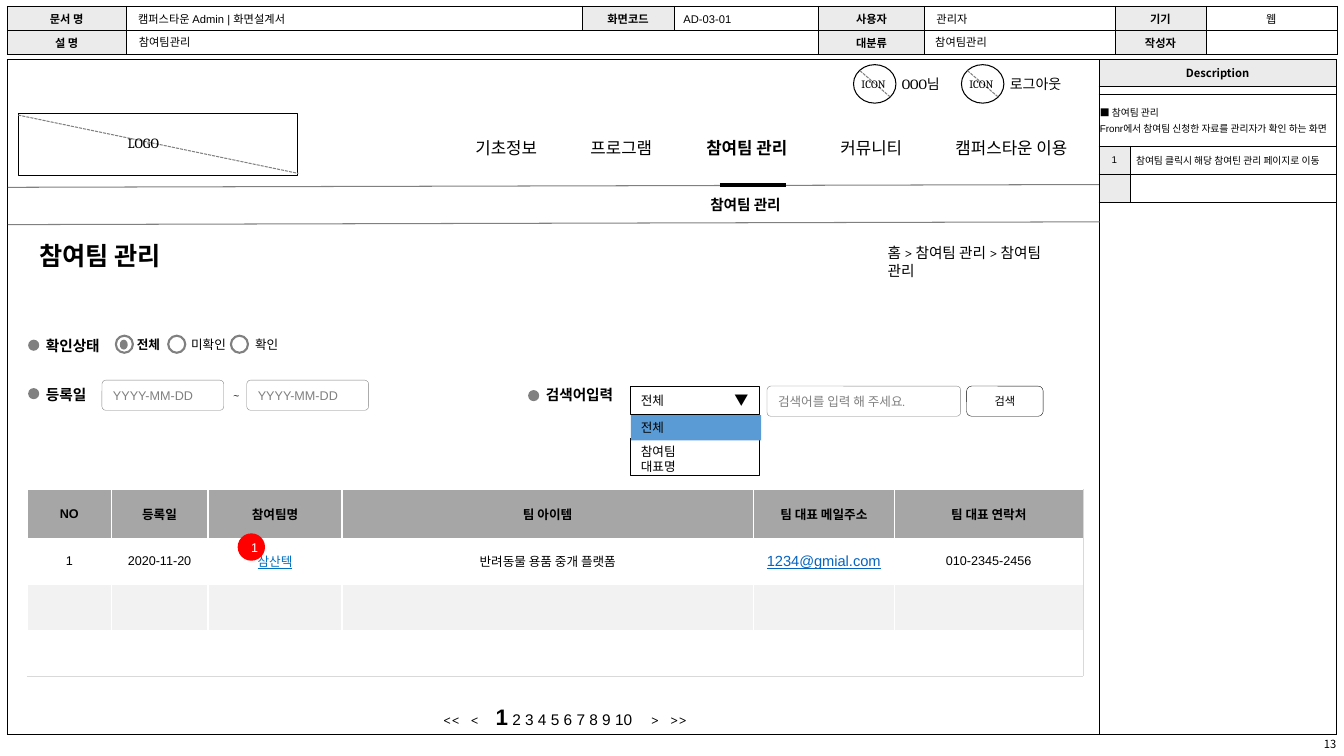
from lxml.etree import SubElement
from pptx import Presentation
from pptx.dml.color import RGBColor
from pptx.enum.dml import MSO_LINE
from pptx.enum.shapes import MSO_CONNECTOR, MSO_SHAPE
from pptx.enum.text import MSO_ANCHOR, MSO_AUTO_SIZE, PP_ALIGN
from pptx.oxml import parse_xml
from pptx.oxml.ns import nsdecls, qn
from pptx.util import Cm, Pt

# ---- Content (positions in inches, turned into Cm when placed) ----
COLORS = {"black": "000000", "white": "FFFFFF", "gray": "808080", "label": "EBEBEB",
          "head": "A6A6A6", "band": "F2F2F2", "grid": "D9D9D9", "pick": "5B9BD5",
          "team": "0070C0", "mail": "0563C1", "badge": "FF0000"}
KOREAN, LATIN, SERIF = "Noto Sans CJK KR", "Arial", "Cambria"
CENTER, LEFT, RIGHT = PP_ALIGN.CENTER, PP_ALIGN.LEFT, PP_ALIGN.RIGHT
SMALL, NORMAL = (.01, .01, .01, .01), (.1, .05, .1, .05)

# Cell styles: fill, margins, then text settings
STYLES = {
    "label": ("label", (.04, .04, .04, .04), dict(size=8, font=KOREAN, bold=True, align=CENTER)),
    "value": ("white", (.12, .01, .01, .01), dict(size=8, font=LATIN)),
    "device": ("white", SMALL, dict(size=8, font=LATIN, align=CENTER)),
    "blank": ("white", SMALL, dict(size=7)),
    "intro": (None, SMALL, dict(size=7, font=LATIN)),
    "number": ("label", SMALL, dict(size=7, font=LATIN, align=CENTER)),
    "note": ("white", (.06, .01, .04, .01), dict(size=7, font=LATIN)),
    "head": ("head", NORMAL, dict(size=9, font=LATIN, bold=True, align=CENTER)),
    "body": (None, NORMAL, dict(size=9, font=LATIN, align=CENTER)),
    "team": (None, NORMAL, dict(size=9, color="team", underline=True, align=CENTER)),
    "mail": (None, NORMAL, dict(size=10.5, font=LATIN, color="mail", underline=True, align=CENTER)),
    "band": ("band", NORMAL, dict(size=9)),
}
BLANK = ("", "blank")
DOCUMENT = [
    [("문서 명", "label"), ("캠퍼스타운 Admin | 화면설계서", "value"), ("화면코드", "label"), BLANK,
     ("사용자", "label"), ("관리자", "value"), ("기기", "label"), ("웹", "device")],
    [("설 명", "label"), BLANK, BLANK, BLANK, ("대분류", "label"), BLANK, ("작성자", "label"), BLANK],
]
FRAME = [[BLANK, ("Description", "label")], [BLANK, BLANK]]
NOTES = [
    [("■ 참여팀 관리\nFronr에서 참여팀 신청한 자료를 관리자가 확인 하는 화면", "intro"), BLANK],
    [("1", "number"), ("참여팀 클릭시 해당 참여틴 관리 페이지로 이동", "note")],
    [("", "number"), BLANK],
]
TEAMS = [
    [(name, "head") for name in
     ("NO", "등록일", "참여팀명", "팀 아이템", "팀 대표 메일주소", "팀 대표 연락처")],
    [("1", "body"), ("2020-11-20", "body"), ("삼산텍", "team"), ("반려동물 용품 중개 플랫폼", "body"),
     ("1234@gmial.com", "mail"), ("010-2345-2456", "body")],
    [("", "band")] * 6,
    [("", "body")] * 6,
]
MENU = [("기초정보", 4.62, .94), ("프로그램", 5.76, .94), ("참여팀 관리", 6.91, 1.12),
        ("커뮤니티", 8.24, .94), ("캠퍼스타운 이용", 9.38, 1.42)]
ACTIVE = "참여팀 관리"
USER_ICONS = [("OOO님", 8.47), ("로그아웃", 9.54)]
FILTERS = [("확인상태", .28, 3.37, 3.29, .81), ("등록일", .28, 3.85, 3.78, .72),
           ("검색어입력", 5.24, 3.87, 3.78, .98)]
RADIOS = [("전체", 1.15, 1.25, .45), ("미확인", 1.67, 1.78, .58), ("확인", 2.29, 2.42, .45)]
DATE_FIELDS = [1.01, 2.45]
HEADER_VALUES = [("참여팀관리", 9.18, .3), ("참여팀관리", 1.28, .3), ("AD-03-01", 6.68, .07)]
PAGER = [("<<\t<\t", 11, SERIF, False), ("1", 16, LATIN, True),
         (" 2 3 4 5 6 7 8 9 10", 11, LATIN, False), ("\t>\t>>", 11, SERIF, False)]
PAGER_TABS = [.27, .52, 2.06, 2.25]

deck = Presentation()
deck.slide_width, deck.slide_height = Cm(33.87), Cm(19.05)
page = deck.slides.add_slide(deck.slide_layouts[5])


# ---- Helpers ----
def cm(inches):
    return Cm(round(inches * 2.54, 2))


def rgb(name):
    return RGBColor.from_string(COLORS[name])


def add_span(para, text, size, font=SERIF, bold=False, color="black", underline=False):
    span = para.add_run()
    span.text = text
    span.font.size, span.font.name = Pt(size), font
    span.font.bold, span.font.underline = bold, underline
    span.font.color.rgb = rgb(color)
    SubElement(span.font._element, qn("a:ea"), typeface=KOREAN)


def write(frame, text, align=LEFT, gap=0, **look):
    for index, line in enumerate(text.split("\n")):
        para = frame.add_paragraph() if index else frame.paragraphs[0]
        para.alignment = align
        if index and gap:
            para.space_before = Pt(gap)
        add_span(para, line, **look)


def set_frame(frame, margins=NORMAL, anchor=MSO_ANCHOR.TOP, wrap=True):
    frame.auto_size, frame.word_wrap = MSO_AUTO_SIZE.NONE, wrap
    frame.vertical_anchor = anchor
    (frame.margin_left, frame.margin_top,
     frame.margin_right, frame.margin_bottom) = map(cm, margins)


def add_text(text, at, margins=NORMAL, anchor=MSO_ANCHOR.TOP, wrap=True, **look):
    box = page.shapes.add_textbox(*map(cm, at))
    set_frame(box.text_frame, margins, anchor, wrap)
    write(box.text_frame, text, **look)


def add_box(kind, at, fill=None, line=None, width=.75, text="", corner=None,
            anchor=MSO_ANCHOR.MIDDLE, margins=NORMAL, **look):
    box = page.shapes.add_shape(kind, *map(cm, at))
    box.shadow.inherit = False
    if corner:
        box.adjustments[0] = corner
    for part, color in ((box.fill, fill), (box.line.fill, line)):
        if color:
            part.solid()
            part.fore_color.rgb = rgb(color)
        else:
            part.background()
    if line:
        box.line.width = Pt(width)
    if text:
        set_frame(box.text_frame, margins, anchor)
        write(box.text_frame, text, **look)


def add_line(start, end, color="gray", width=.75, dashed=False):
    line = page.shapes.add_connector(MSO_CONNECTOR.STRAIGHT, *map(cm, start + end))
    line.line.color.rgb, line.line.width = rgb(color), Pt(width)
    if dashed:
        line.line.dash_style = MSO_LINE.SQUARE_DOT
    SubElement(line._element.spPr, qn("a:effectLst"))


def add_grid(left, top, widths, heights, content, merges=(), border="black", sides="LRTB"):
    table = page.shapes.add_table(len(heights), len(widths), cm(left), cm(top),
                                  cm(sum(widths)), cm(sum(heights))).table
    table.first_row = table.horz_banding = False
    for column, width in zip(table.columns, widths):
        column.width = cm(width)
    for row, height, items in zip(table.rows, heights, content):
        row.height = cm(height)
        for cell, (text, style) in zip(row.cells, items):
            fill, margins, look = STYLES[style]
            properties = cell._tc.get_or_add_tcPr()
            for side in sides:
                properties.append(parse_xml(
                    f'<a:ln{side} {nsdecls("a")} w="3175"><a:solidFill>'
                    f'<a:srgbClr val="{COLORS[border]}"/></a:solidFill></a:ln{side}>'))
            if fill:
                cell.fill.solid()
                cell.fill.fore_color.rgb = rgb(fill)
            else:
                cell.fill.background()
            cell.vertical_anchor = MSO_ANCHOR.MIDDLE
            cell.margin_left, cell.margin_top, cell.margin_right, cell.margin_bottom = map(cm, margins)
            if text:
                write(cell.text_frame, text, gap=1.4, **look)
            else:
                end = cell.text_frame.paragraphs[0]._p.get_or_add_endParaRPr()
                end.set("sz", str(look["size"] * 100))
    for first, last in merges:
        table.cell(*first).merge(table.cell(*last))


# ---- Document header, page frame, page number ----
add_text("13", (10.9, 7.26, 2.36, .24), margins=(.1, .05, 0, .05), size=8, font=KOREAN, align=RIGHT)
add_grid(.07, .06, [1.18, 4.52, .92, 1.43, 1.05, 1.89, .9, 1.3], [.24, .24], DOCUMENT, [((1, 1), (1, 3))])
add_grid(.07, .59, [10.83, 2.36], [.26, 6.43], FRAME, [((0, 0), (1, 0))])
for text, left, top in HEADER_VALUES:
    add_text(text, (left, top, .76, .24), size=8, font=LATIN, wrap=False)

# ---- Search filters ----
DOT, ROUND, RECT = MSO_SHAPE.FLOWCHART_CONNECTOR, MSO_SHAPE.ROUNDED_RECTANGLE, MSO_SHAPE.RECTANGLE
for text, left, dot_top, top, width in FILTERS:
    add_box(DOT, (left, dot_top, .11, .11), fill="gray")
    add_text(text, (left + .08, top, width, .28), size=10.5, bold=True)
for index, (text, left, text_left, width) in enumerate(RADIOS):
    add_box(DOT, (left, 3.33, .17, .17), line="gray", width=1.5)
    if index == 0:
        add_box(DOT, (left + .04, 3.37, .08, .1), fill="gray")
    add_text(text, (text_left, 3.29, width, .25), size=9, font=LATIN, bold=index == 0, align=CENTER, wrap=False)
for left in DATE_FIELDS:
    add_box(ROUND, (left, 3.77, 1.21, .3), "white", "gray", .25, "YYYY-MM-DD", .13,
            size=9, font=LATIN, color="gray")
add_text("~", (2.21, 3.8, .29, .24), size=8)
add_box(ROUND, (7.61, 3.83, 1.92, .3), "white", "gray", .25, "검색어를 입력 해 주세요.", .13, size=9, color="gray")
add_box(ROUND, (9.59, 3.83, .76, .3), None, "black", .25, "검색", margins=(.04, .04, .04, .04),
        size=8, font=LATIN, align=CENTER)
add_box(RECT, (6.26, 3.83, 1.28, .28), line="black", text="전체", size=9)
add_text("▼", (7.21, 3.88, .28, .17), margins=(.08, 0, .08, 0), anchor=MSO_ANCHOR.MIDDLE,
         wrap=False, size=10, font=KOREAN)
add_box(RECT, (6.26, 4.35, 1.28, .37), line="black", text="참여팀\n대표명", anchor=MSO_ANCHOR.TOP, size=9)
add_box(RECT, (6.26, 4.12, 1.29, .25), fill="pick", text="전체", anchor=MSO_ANCHOR.TOP, size=9)

# ---- Team list and pager ----
add_grid(.27, 4.86, [.83, .96, 1.33, 4.08, 1.4, 1.87], [.48, .46, .46, .45], TEAMS, border="grid", sides="RB")
add_box(MSO_SHAPE.OVAL, (2.36, 5.29, .27, .27), fill="badge", text="1", size=9, font=LATIN,
        color="white", align=CENTER)
pager = page.shapes.add_textbox(*map(cm, (4.08, 6.93, 3.05, .37))).text_frame
set_frame(pager, (.32, .05, .1, .05))
tabs = SubElement(pager.paragraphs[0]._p.get_or_add_pPr(), qn("a:tabLst"))
for stop in PAGER_TABS:
    SubElement(tabs, qn("a:tab"), pos=str(cm(stop)), algn="l")
for text, size, font, bold in PAGER:
    add_span(pager.paragraphs[0], text, size, font, bold)

# ---- Site header: logo box, user icons, menu ----
add_box(RECT, (.18, 1.13, 2.77, .61), line="black")
add_line((.18, 1.14), (2.96, 1.72), dashed=True)
add_text("LOGO", (1.17, 1.28, .63, .27), size=10)
for text, left in USER_ICONS:
    add_box(MSO_SHAPE.OVAL, (left, .64, .42, .38), line="black")
    add_line((left + .06, .7), (left + .36, .96), dashed=True)
    add_text("ICON", (left - .02, .72, .47, .24), size=8)
    add_text(text, (left + .38, .7, .76, .27), size=10)
for text, left, width in MENU:
    add_text(text, (left, 1.32, width, .3), size=12, bold=text == ACTIVE)
for top in (1.86, 2.23):
    add_line((.08, top), (10.91, top - .03))
add_line((7.14, 1.84), (7.8, 1.84), "black", 3)
add_text(ACTIVE, (6.95, 1.89, .97, .28), size=10.5, bold=True, wrap=False)
add_text("홈 > 참여팀 관리 > 참여팀 관리", (8.71, 2.37, 2, .28), size=10.5)

# ---- Page title, kept in front of the frame ----
title = page.shapes.title
title.left, title.top, title.width, title.height = map(cm, (.29, 2.33, 1.82, .4))
set_frame(title.text_frame)
write(title.text_frame, ACTIVE, size=18, bold=True)
page.shapes._spTree.append(title._element)

# ---- Description notes ----
add_grid(10.9, .93, [.31, 2.04], [.52, .28, .28], NOTES, [((0, 0), (0, 1))])

deck.save("out.pptx")
